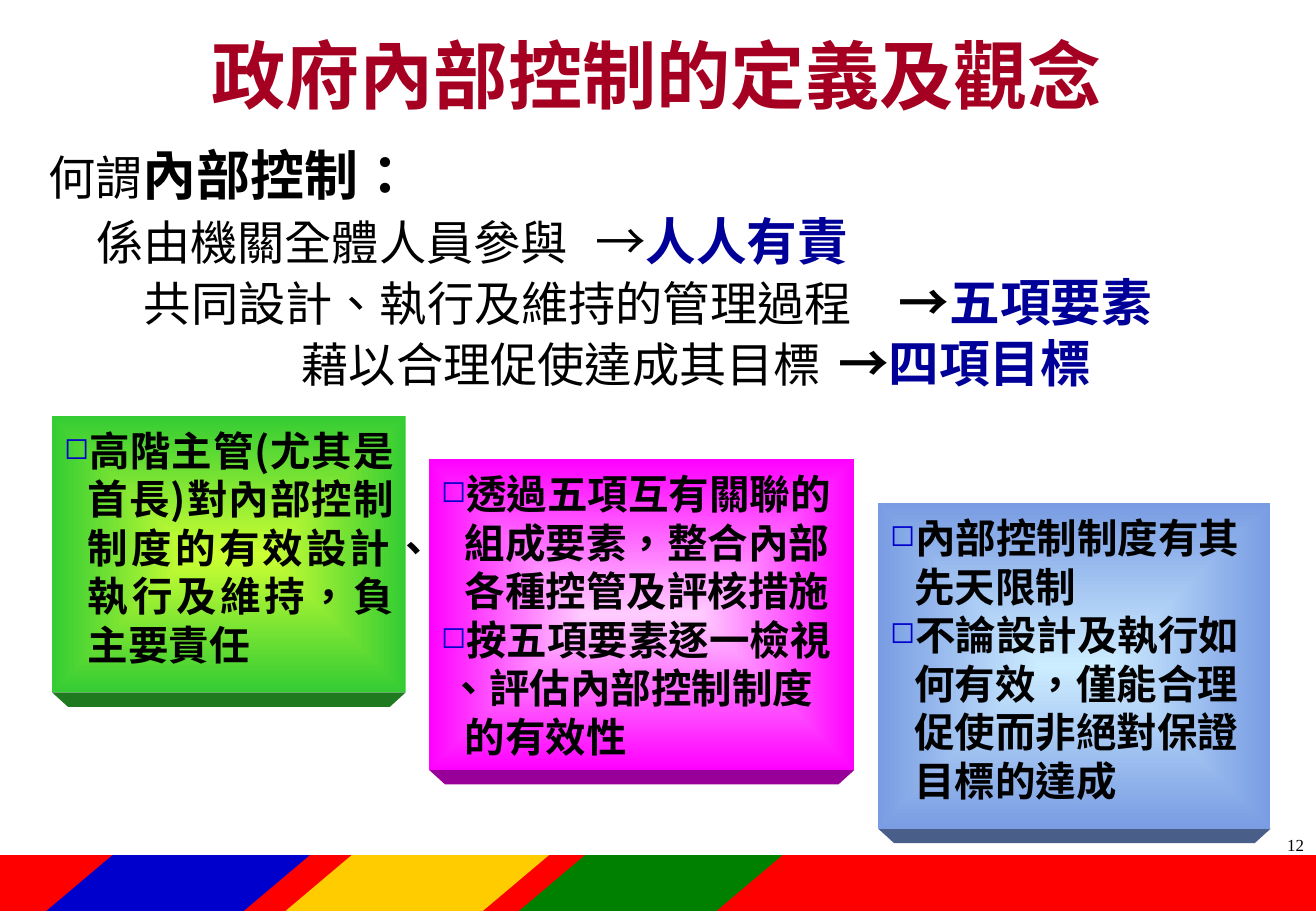
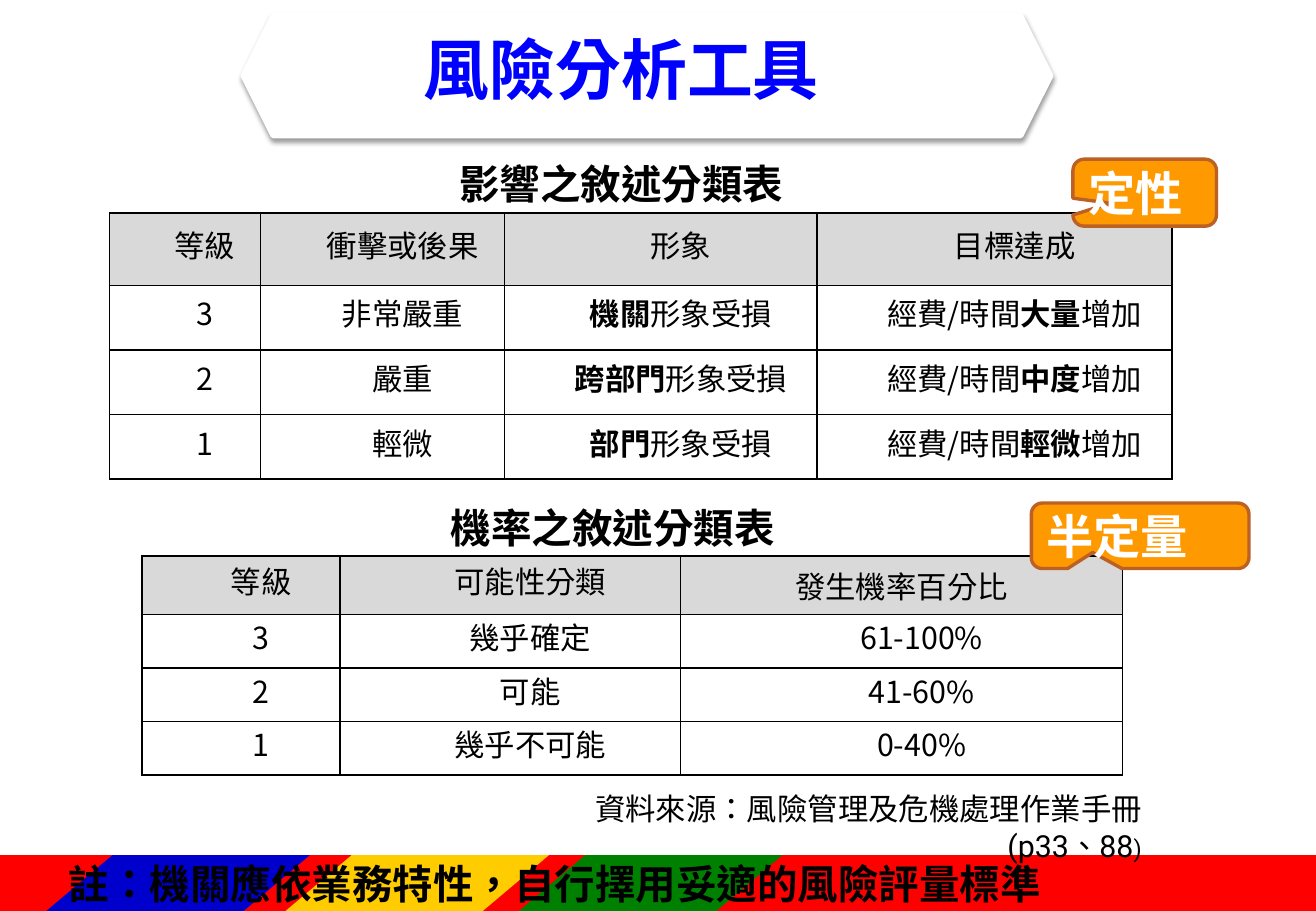
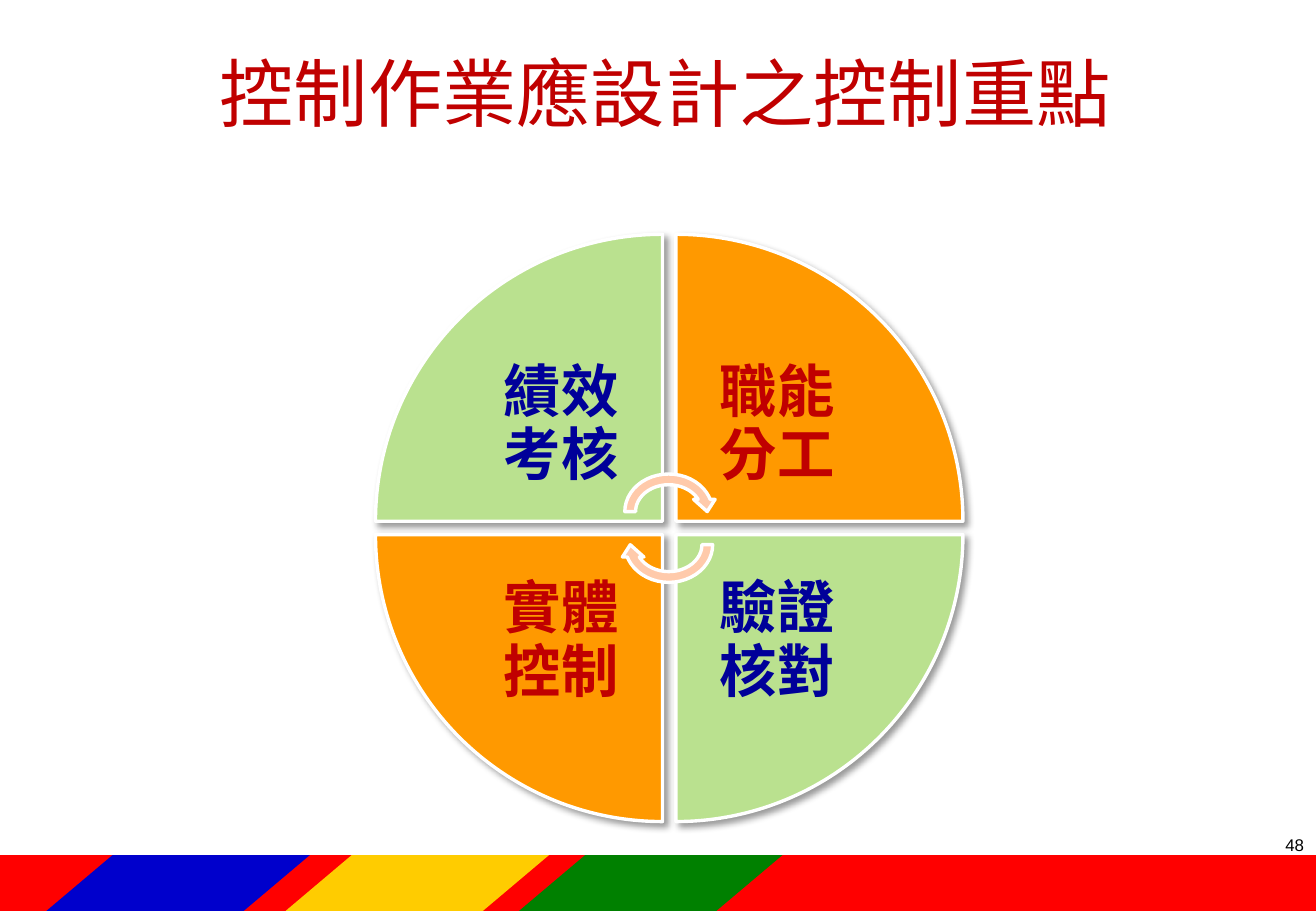
from dataclasses import dataclass

from lxml import etree
from pptx import Presentation
from pptx import util as u
from pptx.dml.color import RGBColor
from pptx.enum import shapes, text
from pptx.oxml.ns import qn


@dataclass(frozen=True)
class Theme:
    # colours
    red: str = "FF0000"
    blue: str = "0000CC"
    yellow: str = "FFCC00"
    green: str = "008000"
    white: str = "FFFFFF"
    ink: str = "000000"
    navy: str = "000099"
    crimson: str = "A50021"
    dark_red: str = "C00000"
    title_blue: str = "0000FF"
    grey: str = "D9D9D9"
    orange: str = "FF9900"
    orange_edge: str = "BB6126"
    pale_green: str = "BAE18F"
    peach: str = "FFCAAB"
    # fonts
    cjk: str = "Noto Sans CJK SC"
    serif: str = "Times New Roman"
    sans: str = "Arial"
    note: str = "Roboto"
    # type sizes
    title: int = 44
    banner: int = 39
    wheel: int = 34
    strong: int = 32
    answer: int = 30
    lead: int = 28
    body: int = 24
    table: int = 18
    bracket: int = 14
    page: int = 10


T = Theme()
KIND = shapes.MSO_SHAPE
ALIGN = text.PP_ALIGN
MIDDLE = text.MSO_ANCHOR.MIDDLE


def block(slide, kind, box, fill, line=None, shadow=None, rotation=0, adjust=()):
    """Add a preset shape; box in cm, line (colour, pt), shadow (alpha %, blur, dist, angle)."""
    shape = slide.shapes.add_shape(kind, *[u.Cm(v) for v in box])
    shape.shadow.inherit = False
    shape.rotation = rotation
    shape.fill.solid()
    shape.fill.fore_color.rgb = RGBColor.from_string(fill)
    if line:
        shape.line.color.rgb = RGBColor.from_string(line[0])
        shape.line.width = u.Pt(line[1])
    else:
        shape.line.fill.background()
    for i, value in enumerate(adjust):
        shape.adjustments[i] = value
    if shadow:
        alpha, blur, distance, angle = shadow
        effects = shape.element.spPr.find(qn("a:effectLst"))
        outer = etree.SubElement(effects, qn("a:outerShdw"), blurRad=str(u.Pt(blur)),
                                 dist=str(u.Pt(distance)), dir=str(angle * 60000),
                                 rotWithShape="0")
        shade = etree.SubElement(outer, qn("a:srgbClr"), val=T.ink)
        etree.SubElement(shade, qn("a:alpha"), val=str(alpha * 1000))
    return shape


def write(frame, lines, font, para=None, **setup):
    """Fill a text frame; a line is a string or a list of (text, font changes)."""
    setup = {"word_wrap": True, "auto_size": text.MSO_AUTO_SIZE.NONE} | setup
    for key, value in setup.items():
        setattr(frame, key, value)
    for i, line in enumerate(lines):
        paragraph = frame.paragraphs[0] if i == 0 else frame.add_paragraph()
        for key, value in (para or {}).items():
            setattr(paragraph, key, value)
        for words, change in [(line, {})] if isinstance(line, str) else line:
            run = paragraph.add_run()
            run.text = words
            look = {"name": T.cjk, "bold": False, "color": T.ink} | font | change
            run.font.color.rgb = RGBColor.from_string(look.pop("color"))
            look["size"] = u.Pt(look["size"])
            for key, value in look.items():
                setattr(run.font, key, value)
            props = run._r.get_or_add_rPr()
            props.set("lang", "zh-TW")
            latin = props.find(qn("a:latin"))
            latin.addnext(etree.Element(qn("a:ea"), typeface=T.cjk))
    return frame.paragraphs


prs = Presentation()
prs.slide_width, prs.slide_height = u.Cm(27.51), u.Cm(19.05)
title_only = prs.slide_layouts[5]
concept, tools, controls = [prs.slides.add_slide(title_only) for _ in range(3)]

# Shared band at the foot, kept on the master
bands = [(KIND.RECTANGLE, 0, 27.51, T.red, ())]
bands += [(KIND.PARALLELOGRAM, left, 5.51, colour, (1.184,))
          for left, colour in ((5.97, T.yellow), (10.85, T.green), (0.97, T.blue))]
for i, (kind, left, width, colour, adjust) in enumerate(bands):
    band = block(concept, kind, (left, 17.88, width, 1.17), colour, adjust=adjust)
    band.element.nvSpPr.cNvPr.set("id", str(100 + i))
    prs.slide_master.shapes.element.append(band.element)

# Titles
centred = {"alignment": ALIGN.CENTER}
titles = [
    (concept, "政府內部控制的定義及觀念", (1.35, 0.33, 24.77, 2.41), centred,
     {"size": T.title, "name": T.serif, "color": T.crimson, "bold": True}),
    (tools, "風險分析工具", (8.46, 0.56, 10.01, 1.93),
     {"alignment": ALIGN.LEFT, "line_spacing": 0.9},
     {"size": T.banner, "color": T.title_blue, "bold": True}),
    (controls, "控制作業應設計之控制重點", (0.76, 0.91, 26.31, 2.01), centred,
     {"size": T.title, "name": T.sans, "color": T.dark_red}),
]
for slide, words, box, para, font in titles:
    heading = slide.shapes.title
    for key, value in zip(("left", "top", "width", "height"), box):
        setattr(heading, key, u.Cm(value))
    inset = u.Cm(0.4) if slide is tools else u.Cm(0.25)
    write(heading.text_frame, [words], font, para, vertical_anchor=MIDDLE,
          margin_left=inset, margin_right=inset)

# Page numbers
for slide, number, face in ((concept, "12", T.serif), (controls, "48", T.sans)):
    page = slide.shapes.add_textbox(u.Cm(21.11), u.Cm(17.32), u.Cm(6.4), u.Cm(1.27))
    write(page.text_frame, [number], {"size": T.page, "name": face},
          {"alignment": ALIGN.RIGHT})

# Concept: definition, each part pointing to its answer
answer = {"size": T.answer, "color": T.navy, "bold": True}
parts = [
    # first-line indent, tab stop, line pitch, runs
    (0, None, 38, [("何謂", {}), ("內部控制：", {"size": T.strong, "bold": True})]),
    (1.0, 14.2, 38.4, [("係由機關全體人員參與\t", {}), ("→", {"size": T.answer}),
                       ("人人有責", answer)]),
    (2.0, 17.0, 36, [("共同設計、執行及維持的管理過程\t", {}),
                     ("→", {"size": T.answer, "bold": True}), ("五項要素", answer)]),
    (5.3, 17.82, 36, [("藉以合理促使達成其目標\t", {}),
                      ("→", {"size": T.answer, "bold": True}), ("四項目標", answer)]),
]
definition = concept.shapes.add_textbox(u.Cm(0.76), u.Cm(2.72), u.Cm(26.01), u.Cm(5.51))
paragraphs = write(definition.text_frame, [part[3] for part in parts], {"size": T.lead},
                   margin_top=u.Cm(0.25))
for paragraph, (indent, stop, pitch, _) in zip(paragraphs, parts):
    paragraph.line_spacing = u.Pt(pitch)
    props = paragraph._p.get_or_add_pPr()
    props.set("marL", "0")
    props.set("indent", str(u.Cm(indent)))
    if stop:
        stops = etree.SubElement(props, qn("a:tabLst"))
        etree.SubElement(stops, qn("a:tab"), pos=str(u.Cm(stop)), algn="l")

# Concept: three raised cards
cards = [
    ((1.09, 8.69, 7.39, 5.79), ("CCFF33", "33CC33", "1F7A1F"), ALIGN.JUSTIFY,
     ["高階主管(尤其是首長)對內部控制制度的有效設計、執行及維持，負主要責任"]),
    ((8.97, 9.6, 8.89, 6.5), ("FFCCFF", "FF00FF", "990099"), ALIGN.LEFT,
     ["透過五項互有關聯的組成要素，整合內部各種控管及評核措施",
      "按五項要素逐一檢視", "、評估內部控制制度的有效性"]),
    ((18.36, 10.52, 8.2, 6.81), ("CCECFF", "799CE3", "495E88"), ALIGN.LEFT,
     ["內部控制制度有其先天限制",
      "不論設計及執行如何有效，僅能合理促使而非絕對保證目標的達成"]),
]
for (left, top, width, height), (centre, edge, side), alignment, points in cards:
    block(concept, KIND.TRAPEZOID, (left, top + height, width, 0.3), side,
          rotation=180, adjust=(1.1,))
    card = block(concept, KIND.RECTANGLE, (left, top, width, height), edge)
    card.fill.gradient()
    for stop, colour in zip(card.fill.gradient_stops, (centre, edge)):
        stop.color.rgb = RGBColor.from_string(colour)
    gradient = card.element.spPr.find(qn("a:gradFill"))
    gradient.remove(gradient.find(qn("a:lin")))
    glow = etree.SubElement(gradient, qn("a:path"), {"path": "shape"})
    etree.SubElement(glow, qn("a:fillToRect"),
                     {edge_name: "50000" for edge_name in "ltrb"})
    paragraphs = write(card.text_frame, points, {"size": T.body, "bold": True},
                       {"alignment": alignment, "line_spacing": u.Pt(28.8)},
                       vertical_anchor=text.MSO_ANCHOR.TOP, margin_top=u.Cm(0.21))
    for paragraph, words in zip(paragraphs, points):
        continued = words.startswith("、")
        props = paragraph._p.get_or_add_pPr()
        props.set("marL", str(u.Cm(0.5)))
        props.set("indent", str(u.Cm(-0.34 if continued else -0.5)))
        if not continued:
            tint = etree.SubElement(props, qn("a:buClr"))
            etree.SubElement(tint, qn("a:srgbClr"), val=T.blue)
            etree.SubElement(props, qn("a:buSzPct"), val="75000")
            etree.SubElement(props, qn("a:buChar"), char="◻")

# Tools: two grading tables, *bold* marked by asterisks
gradings = [
    ((2.29, 4.45), (3.15, 5.11, 6.53, 7.42), (1.52, 1.35, 1.35, 1.35),
     [("等級", "衝擊或後果", "形象", "目標達成"),
      ("3", "非常嚴重", "*機關*形象受損", "經費/時間*大量*增加"),
      ("2", "嚴重", "*跨部門*形象受損", "經費/時間*中度*增加"),
      ("1", "輕微", "*部門*形象受損", "經費/時間*輕微*增加")]),
    ((2.97, 11.63), (4.14, 7.11, 9.25), (1.22, 1.12, 1.12, 1.12),
     [("等級", "可能性分類", "發生機率百分比"),
      ("3", "幾乎確定", "61-100%"),
      ("2", "可能", "41-60%"),
      ("1", "幾乎不可能", "0-40%")]),
]
for (left, top), widths, heights, rows in gradings:
    grading = tools.shapes.add_table(
        len(rows), len(widths), u.Cm(left), u.Cm(top),
        u.Cm(sum(widths)), u.Cm(sum(heights))).table
    grading.first_row = grading.horz_banding = False
    for column, width in zip(grading.columns, widths):
        column.width = u.Cm(width)
    for r, (height, row) in enumerate(zip(heights, rows)):
        grading.rows[r].height = u.Cm(height)
        for k, words in enumerate(row):
            cell = grading.cell(r, k)
            cell_format = {"vertical_anchor": MIDDLE, "margin_top": 0, "margin_bottom": 0,
                           "margin_left": u.Cm(0.23), "margin_right": u.Cm(0.23)}
            for key, value in cell_format.items():
                setattr(cell, key, value)
            if r == 0:
                cell.fill.solid()
                cell.fill.fore_color.rgb = RGBColor.from_string(T.grey)
            else:
                cell.fill.background()
            runs = [(piece, {"bold": i % 2 == 1})
                    for i, piece in enumerate(words.split("*")) if piece]
            paragraph = write(cell.text_frame, [runs], {"size": T.table}, centred)[0]
            if words != "發生機率百分比":
                paragraph.line_spacing = u.Pt(20)
                paragraph._p.get_or_add_pPr().set("marL", str(u.Cm(0.84)))
            props = cell._tc.get_or_add_tcPr()
            for i, side in enumerate(("lnL", "lnR", "lnT", "lnB")):
                border = etree.Element(qn("a:" + side), w=str(u.Pt(1)))
                stroke = etree.SubElement(border, qn("a:solidFill"))
                etree.SubElement(stroke, qn("a:srgbClr"), val=T.ink)
                props.insert(i, border)

# Tools: table captions and footnote
captions = [
    ("影響之敘述分類表", (9.35, 3.12, 7.6, 1.27)),
    ("機率之敘述分類表", (9.17, 10.31, 7.6, 1.27)),
    ("註：機關應依業務特性，自行擇用妥適的風險評量標準", (1.19, 17.75, 25.12, 1.3)),
]
for words, box in captions:
    caption = tools.shapes.add_textbox(*[u.Cm(v) for v in box])
    write(caption.text_frame, [words], {"size": T.body, "bold": True},
          {"line_spacing": u.Pt(28.8)}, margin_top=u.Cm(0.21))

# Tools: callouts naming the method
callouts = [
    ("定性", (22.43, 3.33, 3.0, 1.4), (-0.24, 0.157, 0.167)),
    ("半定量", (21.56, 10.52, 4.55, 1.37), (-0.218, 0.255, 0.167)),
]
for words, box, adjust in callouts:
    callout = block(tools, KIND.ROUNDED_RECTANGULAR_CALLOUT, box, T.orange,
                    (T.orange_edge, 2), adjust=adjust)
    write(callout.text_frame, [words], {"size": T.lead, "bold": True, "color": T.white},
          {"alignment": ALIGN.LEFT}, vertical_anchor=MIDDLE)

# Tools: plate behind the title
plate = block(tools, KIND.HEXAGON, (5.08, 0.33, 16.89, 2.51), T.white, (T.white, 3),
              shadow=(38, 3.1, 1.6, 90))
plate.element.addnext(tools.shapes.title.element)

# Tools: source line
source = tools.shapes.add_textbox(u.Cm(10.52), u.Cm(16.33), u.Cm(13.6), u.Cm(1.8))
latin = {"name": T.note}
write(source.text_frame,
      ["資料來源：風險管理及危機處理作業手冊",
       [("(p33", latin), ("、", {}), ("88", latin), (")", latin | {"size": T.bracket})]],
      {"size": T.table}, {"alignment": ALIGN.RIGHT, "line_spacing": u.Pt(21.9)},
      margin_top=u.Cm(0.19))

# Controls: wheel of four quarters, clockwise from the upper left
wheel_left, wheel_top, quarter, pitch, label_size = 7.85, 4.9, 6.0, 6.28, 4.24
quarters = [
    ("績效考核", 0, 0, T.pale_green, T.navy),
    ("職能分工", 1, 0, T.orange, T.dark_red),
    ("驗證核對", 1, 1, T.pale_green, T.navy),
    ("實體控制", 0, 1, T.orange, T.dark_red),
]
for i, (words, column, row, fill, colour) in enumerate(quarters):
    left, top = wheel_left + column * pitch, wheel_top + row * pitch
    block(controls, KIND.PIE_WEDGE, (left, top, quarter, quarter), fill, (T.white, 2),
          shadow=(40, 4, 3, 45), rotation=90 * i)
    inward = quarter - label_size
    label = controls.shapes.add_textbox(
        u.Cm(left + inward * (1 - column)), u.Cm(top + inward * (1 - row) + 0.08),
        u.Cm(label_size), u.Cm(label_size))
    margins = {"margin_" + side: u.Cm(0.66) for side in ("left", "top", "right", "bottom")}
    write(label.text_frame, [words],
          {"size": T.wheel, "name": T.serif, "bold": True, "color": colour},
          centred | {"line_spacing": u.Pt(37.8)}, vertical_anchor=MIDDLE, **margins)

# Controls: turning arrows at the hub
for top, rotation in ((9.8, 0), (10.49, 180)):
    block(controls, KIND.CIRCULAR_ARROW, (12.95, top, 2.06, 1.8), T.peach, (T.white, 2),
          rotation=rotation)

prs.save("out.pptx")
